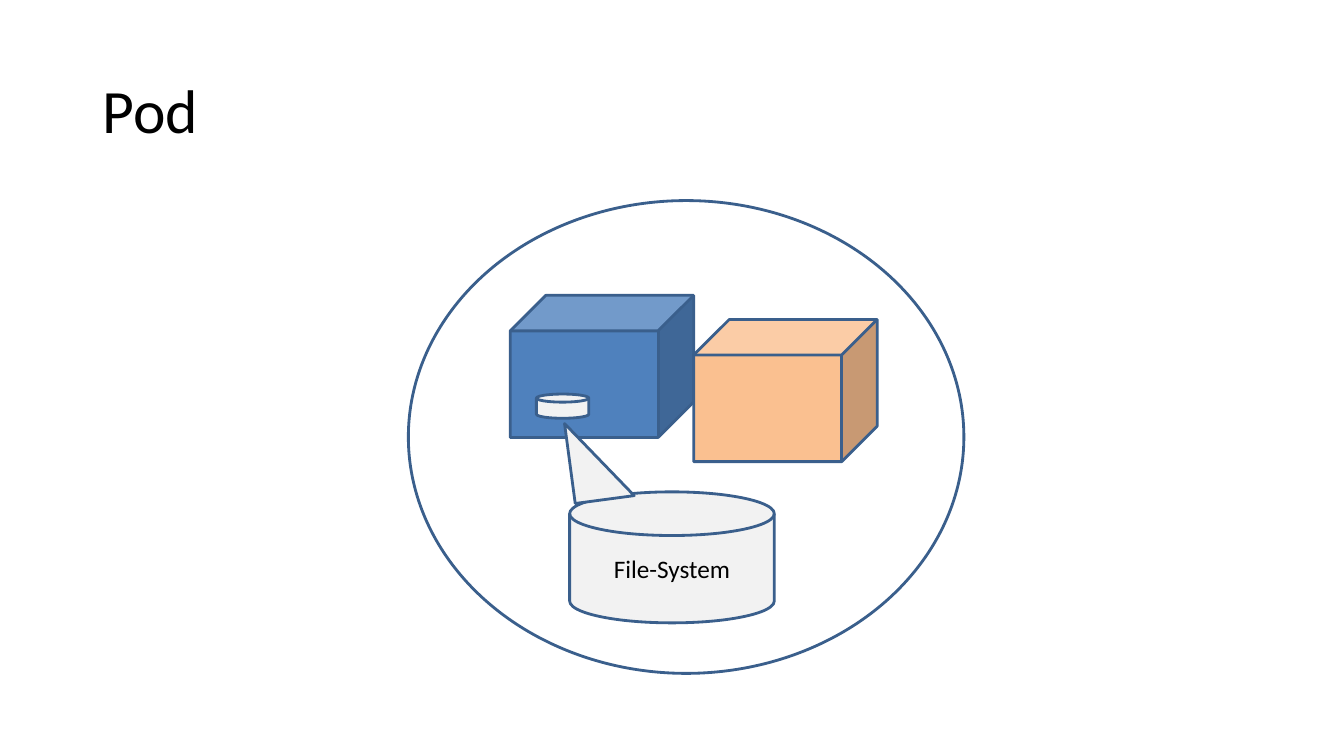
import pptx
import pptx.dml.color
import pptx.enum.shapes
import pptx.enum.text
import pptx.util

Inches = pptx.util.Inches
Shape = pptx.enum.shapes.MSO_SHAPE

OUTLINE, PALE = "3A5F8C", "F2F2F2"


def color(value):
    return pptx.dml.color.RGBColor.from_string(value)


def write(shape, text, size):
    frame = shape.text_frame
    frame.word_wrap = True
    frame.vertical_anchor = pptx.enum.text.MSO_ANCHOR.MIDDLE
    para = frame.paragraphs[0]
    para.text = text
    para.font.name = "Calibri"
    para.font.size = pptx.util.Pt(size)
    para.font.color.rgb = color("000000")
    return para


deck = pptx.Presentation()
deck.slide_width, deck.slide_height = Inches(13.33), Inches(7.5)
page = deck.slides.add_slide(deck.slide_layouts[6])

# Title
title = page.shapes.add_textbox(Inches(0.92), Inches(0.4), Inches(11.5), Inches(1.45))
write(title, "Pod", 44).line_spacing = 0.9

# Containers, pod outline, file system, wedge and mounted disk, back to front
parts = [
    (Shape.CUBE, 5.06, 2.93, 1.82, 1.41, "4F81BD"),
    (Shape.OVAL, 4.05, 1.99, 5.51, 4.69, None),
    (Shape.CUBE, 6.88, 3.17, 1.82, 1.41, "FAC090"),
    (Shape.FLOWCHART_MAGNETIC_DISK, 5.65, 4.88, 2.03, 1.3, PALE),
    (Shape.ISOSCELES_TRIANGLE, 5.65, 4.16, 0.59, 0.8, PALE),
    (Shape.FLOWCHART_MAGNETIC_DISK, 5.32, 3.91, 0.52, 0.24, PALE),
]
drawn = []
for kind, left, top, width, height, fill in parts:
    shape = page.shapes.add_shape(kind, Inches(left), Inches(top), Inches(width), Inches(height))
    shape.shadow.inherit = False
    if fill:
        shape.fill.solid()
        shape.fill.fore_color.rgb = color(fill)
    else:
        shape.fill.background()
    shape.line.color.rgb = color(OUTLINE)
    shape.line.width = pptx.util.Pt(2)
    drawn.append(shape)
blue_container, pod, orange_container, file_system, wedge, mounted_disk = drawn

# The wedge leans from the file system up to the mounted disk
wedge.adjustments[0] = 0
wedge.rotation = 352.4

# File system label
label = write(file_system, "File-System", 18)
label.alignment = pptx.enum.text.PP_ALIGN.CENTER

deck.save("out.pptx")
